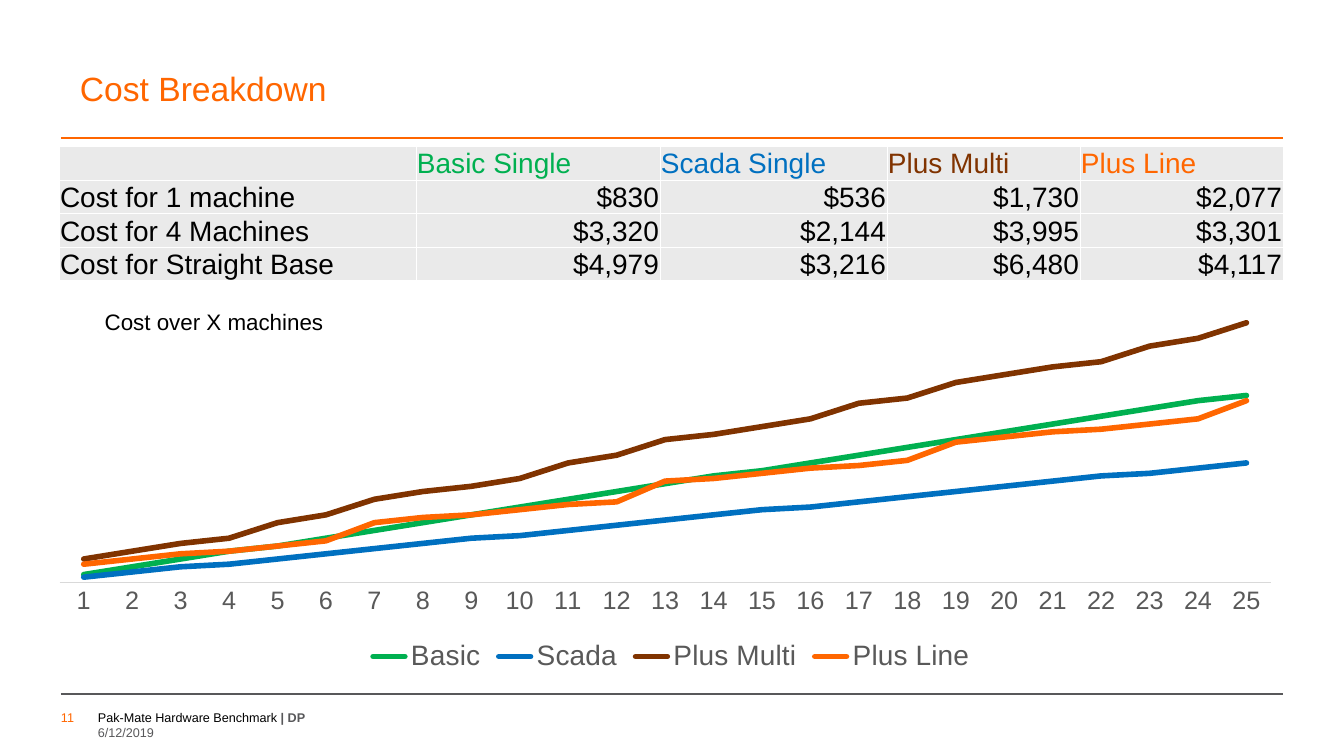
from lxml import etree
from pptx import Presentation
from pptx.chart.data import CategoryChartData
from pptx.dml.color import RGBColor
from pptx.enum.chart import XL_CHART_TYPE, XL_LEGEND_POSITION, XL_TICK_MARK
from pptx.enum.shapes import MSO_CONNECTOR
from pptx.enum.text import MSO_ANCHOR, PP_ALIGN
from pptx.oxml import parse_xml
from pptx.oxml.ns import nsdecls, qn
from pptx.util import Pt

EMU_PER_PX = 914400 / 100.8
FONT = "Arial"

LEFT, CENTER, RIGHT = PP_ALIGN.LEFT, PP_ALIGN.CENTER, PP_ALIGN.RIGHT
TOP, BOTTOM = MSO_ANCHOR.TOP, MSO_ANCHOR.BOTTOM
STRAIGHT = MSO_CONNECTOR.STRAIGHT
LINE_CHART = XL_CHART_TYPE.LINE
LEGEND_BOTTOM = XL_LEGEND_POSITION.BOTTOM
NO_TICKS = XL_TICK_MARK.NONE

ORANGE = RGBColor(0xFF, 0x66, 0x00)
GREEN = RGBColor(0x00, 0xB0, 0x50)
BLUE = RGBColor(0x00, 0x70, 0xC0)
BROWN = RGBColor(0x80, 0x33, 0x00)
BLACK = RGBColor(0x00, 0x00, 0x00)
DARK_GRAY = RGBColor(0x58, 0x58, 0x5A)
CHART_GRAY = RGBColor(0x59, 0x59, 0x59)
AXIS_GRAY = RGBColor(0xD9, 0xD9, 0xD9)
CELL_GRAY = RGBColor(0xEA, 0xEA, 0xEA)

COLUMN_WIDTHS = [357, 244, 227, 193, 203]
ROW_HEIGHT = 32
HEADER_COLORS = [BLACK, GREEN, BLUE, BROWN, ORANGE]
COST_ROWS = [
    ["", "Basic Single", "Scada Single", "Plus Multi", "Plus Line"],
    ["Cost for 1 machine", "$830", "$536", "$1,730", "$2,077"],
    ["Cost for 4 Machines", "$3,320", "$2,144", "$3,995", "$3,301"],
    ["Cost for Straight Base", "$4,979", "$3,216", "$6,480", "$4,117"],
]

COST_SERIES = [
    ("Basic", GREEN, [3, 6, 9, 12, 14, 17, 20, 23, 26, 29, 32, 35, 38,
                      41, 43, 46, 49, 52, 55, 58, 61, 64, 67, 70, 72]),
    ("Scada", BLUE, [2, 4, 6, 7, 9, 11, 13, 15, 17, 18, 20, 22, 24,
                     26, 28, 29, 31, 33, 35, 37, 39, 41, 42, 44, 46]),
    ("Plus Multi", BROWN, [9, 12, 15, 17, 23, 26, 32, 35, 37, 40, 46, 49, 55,
                           57, 60, 63, 69, 71, 77, 80, 83, 85, 91, 94, 100]),
    ("Plus Line", ORANGE, [7, 9, 11, 12, 14, 16, 23, 25, 26, 28, 30, 31, 39,
                           40, 42, 44, 45, 47, 54, 56, 58, 59, 61, 63, 70]),
]
PLOT_LAYOUT = {"x": 0, "y": 0.05, "w": 0.99, "h": 0.73}


def px(length):
    return round(length * EMU_PER_PX)


def set_font(font, size, color):
    font.name = FONT
    font.size = Pt(size)
    font.color.rgb = color


def add_rule(slide, y, color):
    line = slide.shapes.add_connector(STRAIGHT, px(61), px(y), px(1283), px(y))
    line.line.color.rgb = color
    line.line.width = Pt(1.5)
    etree.SubElement(line._element.spPr, qn("a:effectLst"))


def add_text(slide, box, text, size, color, anchor=TOP, align=LEFT, spacing=1.0):
    shape = slide.shapes.add_textbox(*map(px, box))
    frame = shape.text_frame
    frame.word_wrap = True
    frame.vertical_anchor = anchor
    frame.margin_left = frame.margin_right = 0
    frame.margin_top = frame.margin_bottom = 0
    paragraph = frame.paragraphs[0]
    paragraph.text = text
    paragraph.alignment = align
    paragraph.line_spacing = spacing
    set_font(paragraph.font, size, color)
    return paragraph


def format_cell(cell, text, color, align):
    cell.margin_left = cell.margin_right = px(1)
    cell.margin_top = cell.margin_bottom = 0
    cell.vertical_anchor = BOTTOM
    paragraph = cell.text_frame.paragraphs[0]
    paragraph.text = text
    paragraph.alignment = align
    set_font(paragraph.font, 20, color)
    # White borders come before the fill in the cell properties
    properties = cell._tc.get_or_add_tcPr()
    for side in ("lnL", "lnR", "lnT", "lnB"):
        properties.append(parse_xml(
            f'<a:{side} {nsdecls("a")} w="{Pt(0.25)}"><a:solidFill>'
            f'<a:srgbClr val="FFFFFF"/></a:solidFill></a:{side}>'))
    cell.fill.solid()
    cell.fill.fore_color.rgb = CELL_GRAY


def add_cost_table(slide):
    row_count = len(COST_ROWS)
    table = slide.shapes.add_table(
        row_count, len(COLUMN_WIDTHS), px(59), px(146),
        px(sum(COLUMN_WIDTHS)), px(ROW_HEIGHT * row_count)).table
    for column, width in zip(table.columns, COLUMN_WIDTHS):
        column.width = px(width)
    for i, texts in enumerate(COST_ROWS):
        table.rows[i].height = px(ROW_HEIGHT)
        for j, text in enumerate(texts):
            color = HEADER_COLORS[j] if i == 0 else BLACK
            align = RIGHT if i and j else LEFT
            format_cell(table.cell(i, j), text, color, align)


def set_plot_layout(chart):
    plot_area = chart._chartSpace.chart.plotArea
    for old_layout in plot_area.findall(qn("c:layout")):
        plot_area.remove(old_layout)
    sizes = "".join(f'<c:{key} val="{value}"/>' for key, value in PLOT_LAYOUT.items())
    plot_area.insert(0, parse_xml(
        f'<c:layout {nsdecls("c")}><c:manualLayout><c:layoutTarget val="inner"/>'
        f'<c:xMode val="edge"/><c:yMode val="edge"/>{sizes}'
        '</c:manualLayout></c:layout>'))


def add_cost_chart(slide):
    data = CategoryChartData()
    data.categories = [str(count) for count in range(1, 26)]
    for name, _, values in COST_SERIES:
        data.add_series(name, values)
    chart = slide.shapes.add_chart(
        LINE_CHART, px(59), px(244), px(1224), px(434), data).chart
    set_font(chart.font, 10, BLACK)
    chart.has_title = False
    chart.has_legend = True
    chart.legend.position = LEGEND_BOTTOM
    chart.legend.include_in_layout = False
    set_font(chart.legend.font, 20, CHART_GRAY)
    set_plot_layout(chart)

    # Axes
    machines = chart.category_axis
    machines.major_tick_mark = machines.minor_tick_mark = NO_TICKS
    machines.format.line.color.rgb = AXIS_GRAY
    machines.format.line.width = Pt(0.75)
    set_font(machines.tick_labels.font, 18, CHART_GRAY)
    costs = chart.value_axis
    costs.minimum_scale = 0
    costs.maximum_scale = 122
    costs.has_major_gridlines = False
    costs.tick_labels.number_format = '"$"#,##0'
    costs.tick_labels.number_format_is_linked = False
    costs.visible = False

    # Series
    plot = chart.plots[0]
    plot.vary_by_categories = False
    for series, (_, color, _) in zip(plot.series, COST_SERIES):
        series.smooth = False
        series.format.line.color.rgb = color
        series.format.line.width = Pt(4)
        series.format.line._get_or_add_ln().set("cap", "rnd")


def add_footer(slide):
    add_rule(slide, 694, DARK_GRAY)
    add_text(slide, (61, 707, 32, 18), "11", 9, ORANGE, BOTTOM)
    footer = add_text(slide, (98, 707, 923, 18), "Pak-Mate Hardware Benchmark ",
                      9, BLACK, BOTTOM)
    author = footer.add_run()
    author.text = "| DP"
    author.font.bold = True
    author.font.color.rgb = DARK_GRAY
    add_text(slide, (98, 725, 923, 18), "6/12/2019", 9, DARK_GRAY)


def main():
    presentation = Presentation()
    presentation.slide_width = px(1344)
    presentation.slide_height = px(756)
    slide = presentation.slides.add_slide(presentation.slide_layouts[6])

    # Title
    add_rule(slide, 138, ORANGE)
    add_text(slide, (80, 60, 1185, 48), "Cost Breakdown", 24, ORANGE, BOTTOM, spacing=1.1)

    # Costs
    add_cost_table(slide)
    add_cost_chart(slide)
    add_text(slide, (0, 305, 428, 30), "Cost over X machines", 16, BLACK,
             align=CENTER, spacing=1.1)

    add_footer(slide)
    presentation.save("out.pptx")


if __name__ == "__main__":
    main()
